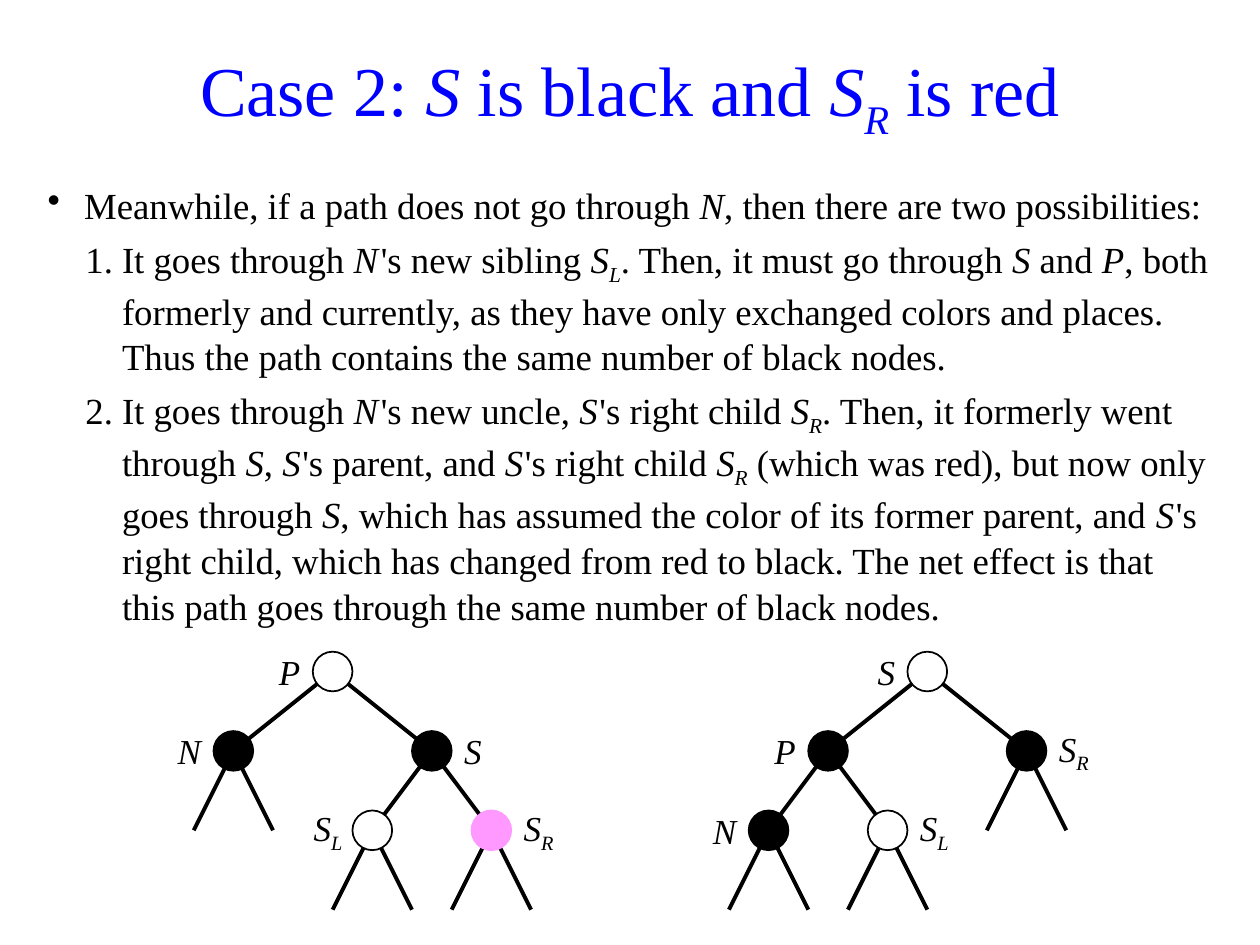
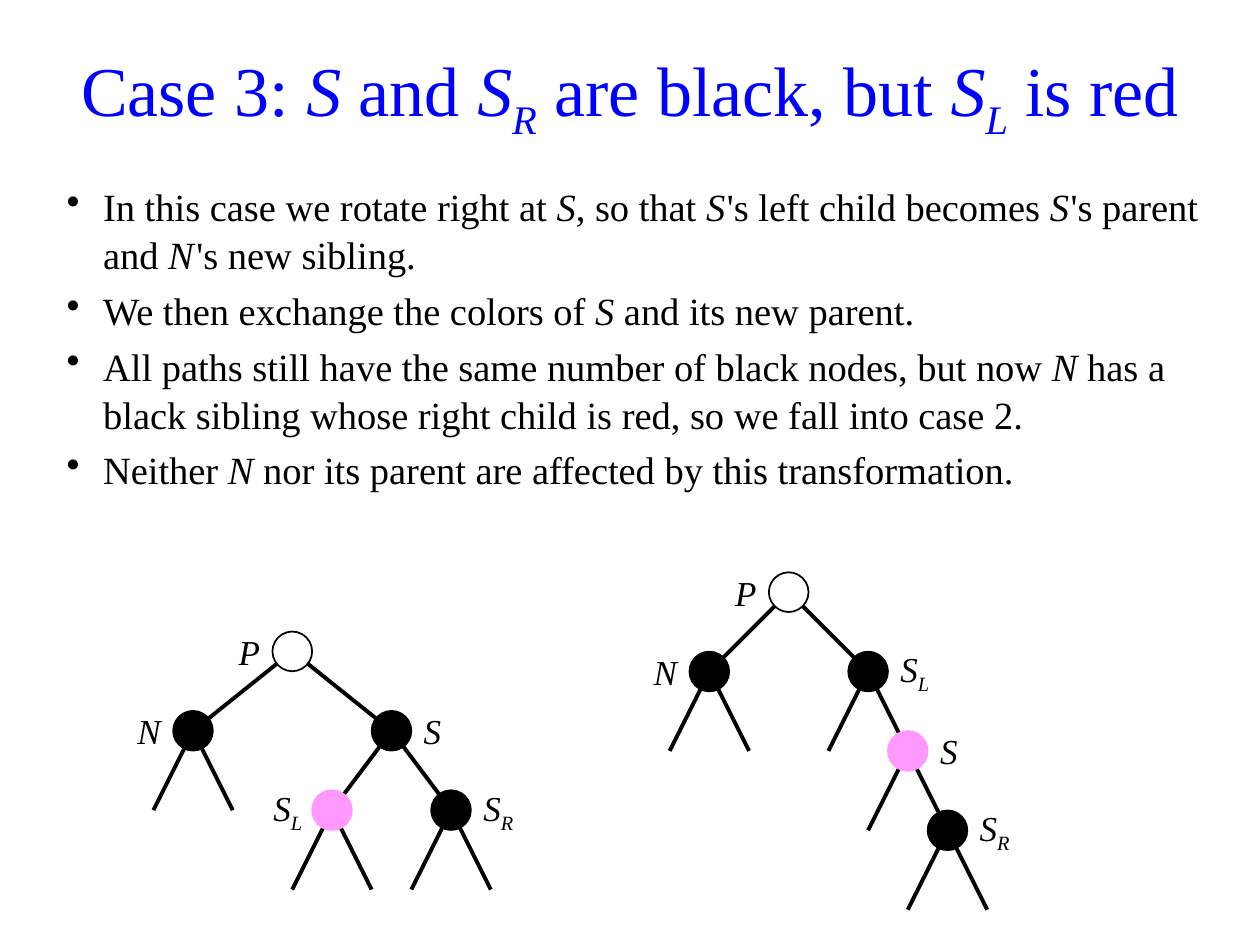
"""Build two slides on red-black tree deletion, cases 2 and 3."""
from lxml import etree
from pptx import Presentation
from pptx.dml.color import RGBColor
from pptx.enum import shapes, text
from pptx.oxml.ns import qn
from pptx.util import Inches, Pt

FONT = "Times New Roman"
BLACK, WHITE, PINK, BLUE = "000000", "FFFFFF", "FF99FF", "0000FF"
UNIT = 0.315
LEFT, RIGHT = text.PP_ALIGN.LEFT, text.PP_ALIGN.RIGHT
KERN = {"N": "150", "S": "100"}

# Markup: *X* is italic, *X_Y* is italic with subscript Y.
# Node: label, label side, fill, spread of children, left child, right child.


def node(label, side, fill, spread=1, left=None, right=None):
    """Describe one tree node."""
    return label, side, fill, spread, left, right


N_LEAF = node("*N*", LEFT, BLACK)

SLIDES = [
    dict(
        title="Case 2: *S* is black and *S_R* is red",
        box=(0.28, 1.39, 9.45, 3.47), size=21,
        body=[
            ("•", "Meanwhile, if a path does not go through *N*, then there are two possibilities:"),
            ("1.", "It goes through *N*'s new sibling *S_L*. Then, it must go through *S* and *P*, "
                   "both formerly and currently, as they have only exchanged colors and places. "
                   "Thus the path contains the same number of black nodes."),
            ("1.", "It goes through *N*'s new uncle, *S*'s right child *S_R*. Then, it formerly went "
                   "through *S*, *S*'s parent, and *S*'s right child *S_R* (which was red), but now "
                   "only goes through *S*, which has assumed the color of its former parent, and "
                   "*S*'s right child, which has changed from red to black. The net effect is that "
                   "this path goes through the same number of black nodes."),
        ],
        trees=[
            (2.64, 5.33, node("*P*", LEFT, WHITE, 2.5, N_LEAF,
                              node("*S*", RIGHT, BLACK, 1.5,
                                   node("*S_L*", LEFT, WHITE), node("*S_R*", RIGHT, PINK)))),
            (7.36, 5.33, node("*S*", LEFT, WHITE, 2.5,
                              node("*P*", LEFT, BLACK, 1.5, N_LEAF, node("*S_L*", RIGHT, WHITE)),
                              node("*S_R*", RIGHT, BLACK))),
        ],
    ),
    dict(
        title="Case 3: *S* and *S_R* are black, but *S_L* is red",
        box=(0.43, 1.39, 9.29, 2.52), size=22,
        body=[
            ("•", "In this case we rotate right at *S*, so that *S*'s left child becomes "
                  "*S*'s parent and *N*'s new sibling."),
            ("•", "We then exchange the colors of *S* and its new parent."),
            ("•", "All paths still have the same number of black nodes, but now *N* has a black "
                  "sibling whose right child is red, so we fall into case 2."),
            ("•", "Neither *N* nor its parent are affected by this transformation."),
        ],
        trees=[
            (2.32, 5.17, node("*P*", LEFT, WHITE, 2.5, N_LEAF,
                              node("*S*", RIGHT, BLACK, 1.5,
                                   node("*S_L*", LEFT, PINK), node("*S_R*", RIGHT, BLACK)))),
            (6.26, 4.7, node("*P*", LEFT, WHITE, 2, N_LEAF,
                             node("*S_L*", RIGHT, BLACK, 1, None,
                                  node("*S*", RIGHT, PINK, 1, None,
                                       node("*S_R*", RIGHT, BLACK))))),
        ],
    ),
]


def rgb(value):
    """Turn a hex string into a colour."""
    return RGBColor.from_string(value)


def add_run(paragraph, words, size, color, italic=False):
    """Add one formatted run and return its properties element."""
    run = paragraph.add_run()
    run.text = words
    run.font.name, run.font.size, run.font.italic = FONT, Pt(size), italic
    run.font.color.rgb = rgb(color)
    return run._r.get_or_add_rPr()


def write(paragraph, marked, size, color=BLACK):
    """Write marked text as plain, italic and subscript runs."""
    parts = marked.split("*")
    for i, part in enumerate(parts):
        if i % 2 == 0:
            if part:
                add_run(paragraph, part, size, color)
            continue
        name, _, sub = part.partition("_")
        props = add_run(paragraph, name, size, color, True)
        if parts[i + 1].startswith("'"):
            props.set("spc", KERN[name])
        if sub:
            add_run(paragraph, sub, size, color, True).set("baseline", "-25000")


def set_bullet(paragraph, mark):
    """Give a paragraph its bullet or number and hanging indent."""
    numbered = mark == "1."
    paragraph.level = int(numbered)
    props = paragraph._p.get_or_add_pPr()
    props.set("marL", str(Inches(0.59 if numbered else 0.29)))
    props.set("indent", str(Inches(-0.29)))
    if numbered:
        etree.SubElement(props, qn("a:buAutoNum"), type="arabicPeriod")
    else:
        etree.SubElement(props, qn("a:buChar"), char=mark)


def add_body(slide, box, size, items):
    """Add the bulleted text."""
    frame = slide.shapes.add_textbox(*map(Inches, box)).text_frame
    frame.word_wrap = True
    for i, (mark, marked) in enumerate(items):
        paragraph = frame.paragraphs[0] if i == 0 else frame.add_paragraph()
        set_bullet(paragraph, mark)
        paragraph.line_spacing = 1.04
        paragraph.space_before = Pt(0.2 * size if i else 0)
        write(paragraph, marked, size)


def add_edge(slide, *ends):
    """Draw a branch between two points."""
    edge = slide.shapes.add_connector(shapes.MSO_CONNECTOR.STRAIGHT, *map(Inches, ends))
    edge.line.color.rgb, edge.line.width = rgb(BLACK), Pt(2.25)
    etree.SubElement(edge._element.spPr, qn("a:effectLst"))


def add_label(slide, x, y, marked, side):
    """Write a node's name beside it."""
    left = x - 2 * UNIT if side == LEFT else x + UNIT / 2
    box = (left, y - UNIT, 1.5 * UNIT, 2 * UNIT)
    frame = slide.shapes.add_textbox(*map(Inches, box)).text_frame
    frame.word_wrap = True
    frame.vertical_anchor = text.MSO_ANCHOR.MIDDLE
    frame.margin_right = Inches(0.08 if "_L" in marked else 0.1)
    paragraph = frame.paragraphs[0]
    paragraph.alignment = RIGHT if side == LEFT else LEFT
    write(paragraph, marked, 20)


def add_tree(slide, x, y, tree):
    """Draw a node over its branches and subtrees."""
    label, side, fill, spread, *children = tree
    below = y + 2 * UNIT
    for direction, child in zip((-1, 1), children):
        child_x = x + direction * spread * UNIT
        add_edge(slide, x, y, child_x, below)
        if child:
            add_tree(slide, child_x, below, child)
    circle = slide.shapes.add_shape(
        shapes.MSO_SHAPE.OVAL,
        *map(Inches, (x - UNIT / 2, y - UNIT / 2, UNIT, UNIT)))
    circle.shadow.inherit = False
    circle.fill.solid()
    circle.fill.fore_color.rgb = rgb(fill)
    circle.line.color.rgb = rgb(PINK if fill == PINK else BLACK)
    circle.line.width = Pt(1)
    add_label(slide, x, y, label, side)


def add_title(slide, marked):
    """Place and write the title."""
    title = slide.shapes.title
    title.left, title.top, title.width, title.height = map(Inches, (0.43, 0.28, 9.14, 0.94))
    frame = title.text_frame
    frame.auto_size = text.MSO_AUTO_SIZE.NONE
    frame.vertical_anchor = text.MSO_ANCHOR.MIDDLE
    frame.paragraphs[0].alignment = text.PP_ALIGN.CENTER
    write(frame.paragraphs[0], marked, 40, BLUE)


def main():
    """Build and save the slides."""
    deck = Presentation()
    deck.slide_width, deck.slide_height = Inches(10), Inches(7.5)
    for content in SLIDES:
        slide = deck.slides.add_slide(deck.slide_layouts[5])
        add_title(slide, content["title"])
        add_body(slide, content["box"], content["size"], content["body"])
        for x, y, tree in content["trees"]:
            add_tree(slide, x, y, tree)
    deck.save("out.pptx")


if __name__ == "__main__":
    main()
